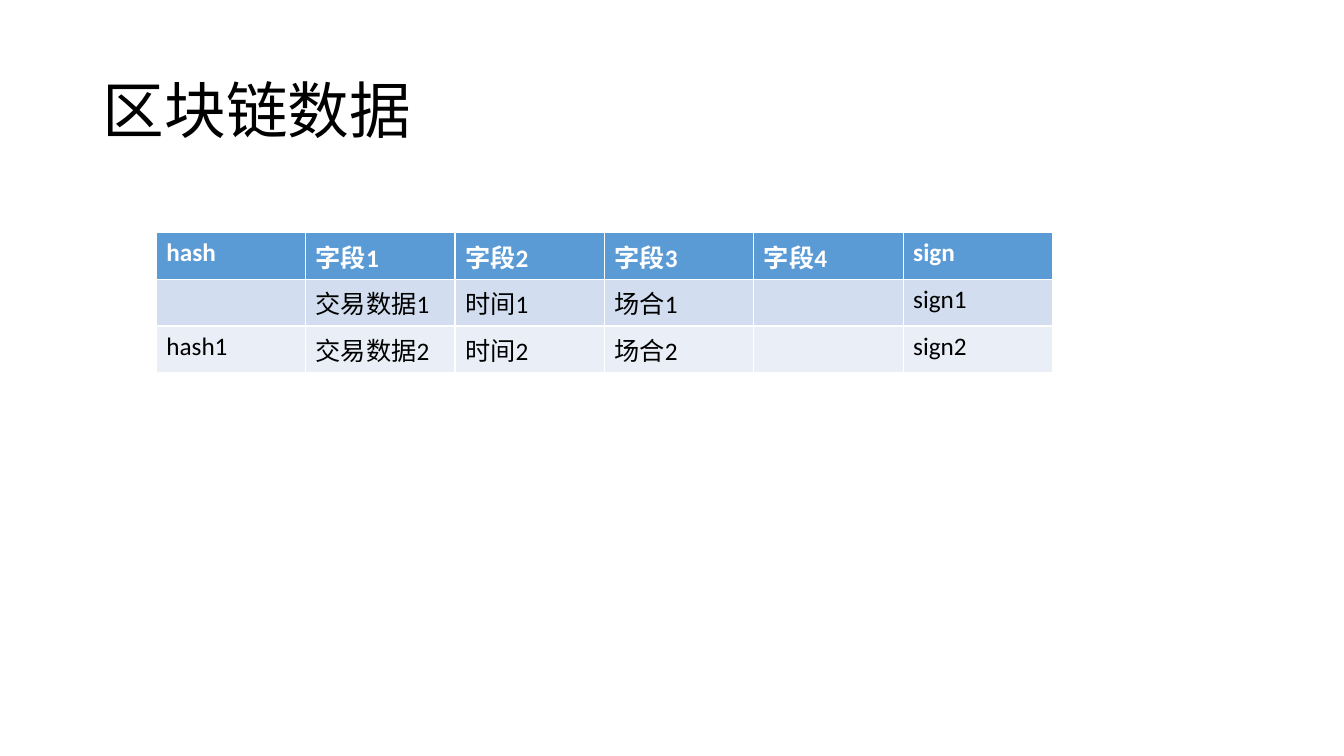
import pptx
import pptx.util
import pptx.dml.color
import pptx.enum.text

RGBColor = pptx.dml.color.RGBColor
Inches = pptx.util.Inches
Pt = pptx.util.Pt

TITLE = "区块链数据"
ROWS = [
    ("hash", "字段1", "字段2", "字段3", "字段4", "sign"),
    ("", "交易数据1", "时间1", "场合1", "", "sign1"),
    ("hash1", "交易数据2", "时间2", "场合2", "", "sign2"),
]
FONT = "Calibri"
BLACK = RGBColor(0x00, 0x00, 0x00)
WHITE = RGBColor(0xFF, 0xFF, 0xFF)
HEADER_BLUE = RGBColor(0x5B, 0x9B, 0xD5)
BANDS = [RGBColor(0xEA, 0xEF, 0xF7), RGBColor(0xD2, 0xDE, 0xEF)]
TABLE_WIDTH = 8.89
ROW_HEIGHT = 0.41


def format_text(frame, size, color, bold=False):
    for para in frame.paragraphs:
        for span in para.runs:
            span.font.name = FONT
            span.font.size = Pt(size)
            span.font.bold = bold
            span.font.color.rgb = color


deck = pptx.Presentation()
deck.slide_width, deck.slide_height = Inches(13.33), Inches(7.5)
page = deck.slides.add_slide(deck.slide_layouts.get_by_name("Title Only"))

title = page.shapes.title
title.left, title.top = Inches(0.92), Inches(0.4)
title.width, title.height = Inches(11.5), Inches(1.45)
frame = title.text_frame
frame.text = TITLE
frame.word_wrap = True
frame.auto_size = pptx.enum.text.MSO_AUTO_SIZE.NONE
frame.vertical_anchor = pptx.enum.text.MSO_ANCHOR.MIDDLE
frame.paragraphs[0].alignment = pptx.enum.text.PP_ALIGN.LEFT
frame.paragraphs[0].line_spacing = 0.9
format_text(frame, 44, BLACK)

table = page.shapes.add_table(
    len(ROWS), len(ROWS[0]), Inches(1.55), Inches(2.31),
    Inches(TABLE_WIDTH), Inches(ROW_HEIGHT * len(ROWS))).table
for row_index, row in enumerate(ROWS):
    header = row_index == 0
    for column_index, text in enumerate(row):
        cell = table.cell(row_index, column_index)
        cell.fill.solid()
        cell.fill.fore_color.rgb = HEADER_BLUE if header else BANDS[row_index % 2]
        if text:
            cell.text_frame.text = text
            format_text(cell.text_frame, 18, WHITE if header else BLACK, header)

deck.save("out.pptx")
